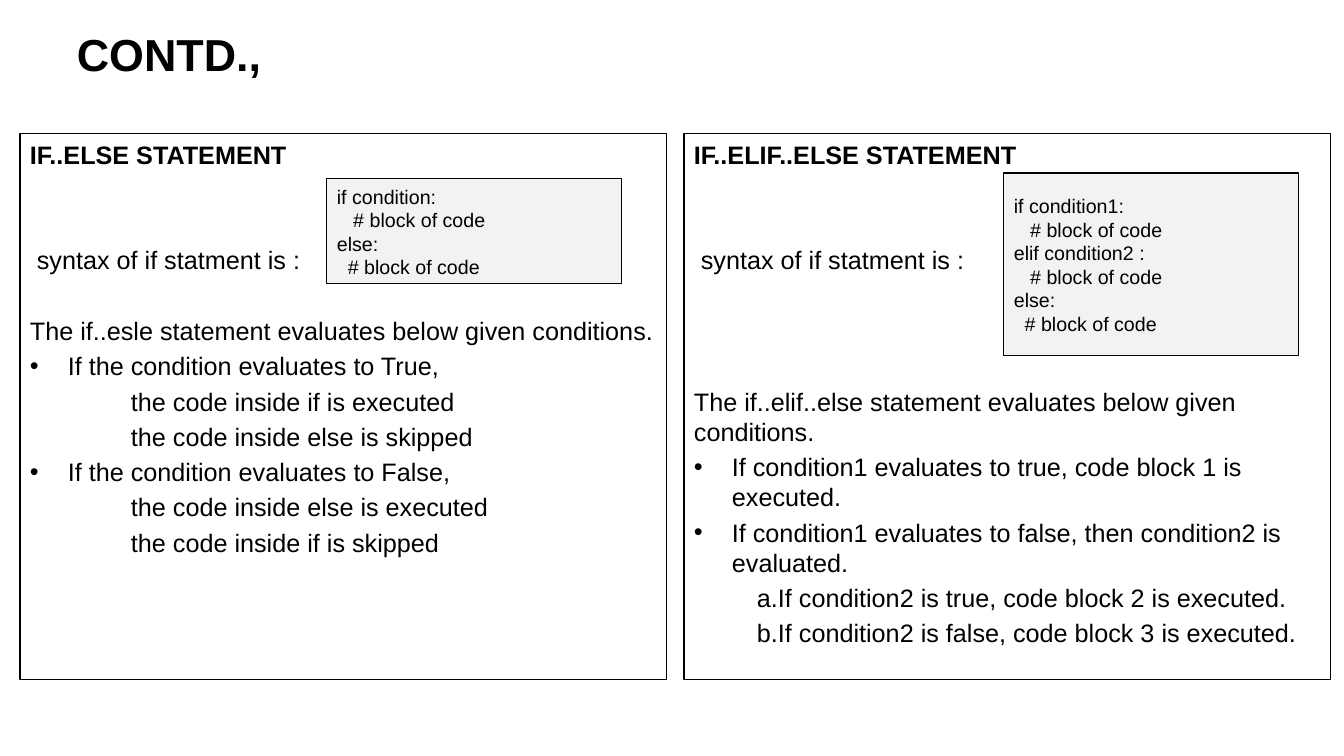
from lxml import etree
from pptx import Presentation
from pptx.dml.color import RGBColor
from pptx.enum.shapes import MSO_SHAPE as Shape
from pptx.enum.text import MSO_ANCHOR as Anchor, PP_ALIGN as Align
from pptx.oxml.ns import qn
from pptx.util import Emu, Pt

SCALE = 914400 / 100.8
LINE, GAP = 25.2, 3.6  # body line pitch and paragraph gap in points


def px(length):
    return Emu(round(length * SCALE))


def color(hex_code):
    return RGBColor.from_string(hex_code)


class StatementSlide:
    font, ink, code_fill = "Arial", "000000", "F2F2F2"

    def __init__(self, deck):
        self.slide = deck.slides.add_slide(deck.slide_layouts[6])

    def style(self, paragraph, size, bold=False):
        paragraph.alignment = Align.LEFT
        for run in paragraph.runs:
            run.font.name = self.font
            run.font.size = Pt(size)
            run.font.bold = bold
            run.font.color.rgb = color(self.ink)

    def title(self, text, *box):
        frame = self.slide.shapes.add_textbox(*map(px, box)).text_frame
        frame.word_wrap = True
        frame.vertical_anchor = Anchor.MIDDLE
        frame.text = text
        self.style(frame.paragraphs[0], 32, bold=True)

    def outlined_box(self, box, fill=None):
        shape = self.slide.shapes.add_shape(Shape.RECTANGLE, *map(px, box))
        shape.shadow.inherit = False
        if fill:
            shape.fill.solid()
            shape.fill.fore_color.rgb = color(fill)
        else:
            shape.fill.background()
        shape.line.color.rgb = color(self.ink)
        shape.line.width = Pt(0.75)
        return shape.text_frame

    def indent(self, paragraph, left, bullet=False):
        """Set the left indent; a bullet hangs at the text edge."""
        props = paragraph._p.get_or_add_pPr()
        props.set("marL", str(px(left)))
        props.set("indent", str(-px(left) if bullet else 0))
        if bullet:
            etree.SubElement(props, qn("a:buFont")).set("typeface", self.font)
            etree.SubElement(props, qn("a:buChar")).set("char", "•")

    def panel(self, box, heading, points):
        """Each point is text, left indent, bullet flag and lines skipped above."""
        frame = self.outlined_box(box)
        frame.word_wrap = True
        frame.vertical_anchor = Anchor.TOP
        frame.text = heading
        self.style(frame.paragraphs[0], 18, bold=True)
        for text, left, bullet, skipped in points:
            paragraph = frame.add_paragraph()
            paragraph.text = text
            paragraph.space_before = Pt(round(GAP + skipped * LINE, 1))
            self.indent(paragraph, left, bullet)
            self.style(paragraph, 18)

    def code(self, box, source):
        frame = self.outlined_box(box, self.code_fill)
        frame.word_wrap = False
        frame.vertical_anchor = Anchor.MIDDLE
        frame.text = source
        for paragraph in frame.paragraphs:
            self.style(paragraph, 14)


def syntax():
    return "syntax of if statment is :", 7, False, 2


def intro(text, skipped):
    return text, 0, False, skipped


def bullet(text):
    return text, 38, True, 0


def outcome(text, left):
    return text, left, False, 0


def main():
    deck = Presentation()
    deck.slide_width, deck.slide_height = px(1344), px(756)
    page = StatementSlide(deck)
    page.title("CONTD.,", 67, 21, 1210, 65)

    page.panel((20, 134, 647, 546), "IF..ELSE STATEMENT", [
        syntax(),
        intro("The if..esle statement evaluates below given conditions.", 1),
        bullet("If the condition evaluates to True,"),
        outcome("the code inside if is executed", 101),
        outcome("the code inside else is skipped", 101),
        bullet("If the condition evaluates to False,"),
        outcome("the code inside else is executed", 101),
        outcome("the code inside if is skipped", 101),
    ])
    page.code((327, 179, 295, 105),
              "if condition:\n   # block of code\nelse:\n  # block of code")

    page.panel((684, 134, 647, 546), "IF..ELIF..ELSE STATEMENT", [
        syntax(),
        intro("The if..elif..else statement evaluates below given conditions.", 3),
        bullet("If condition1 evaluates to true, code block 1 is executed."),
        bullet("If condition1 evaluates to false, then condition2 is evaluated."),
        outcome("a.If condition2 is true, code block 2 is executed.", 63),
        outcome("b.If condition2 is false, code block 3 is executed.", 63),
    ])
    page.code((1004, 173, 295, 183),
              "if condition1:\n   # block of code\nelif condition2 :\n"
              "   # block of code\nelse:\n  # block of code")

    deck.save("out.pptx")


if __name__ == "__main__":
    main()
